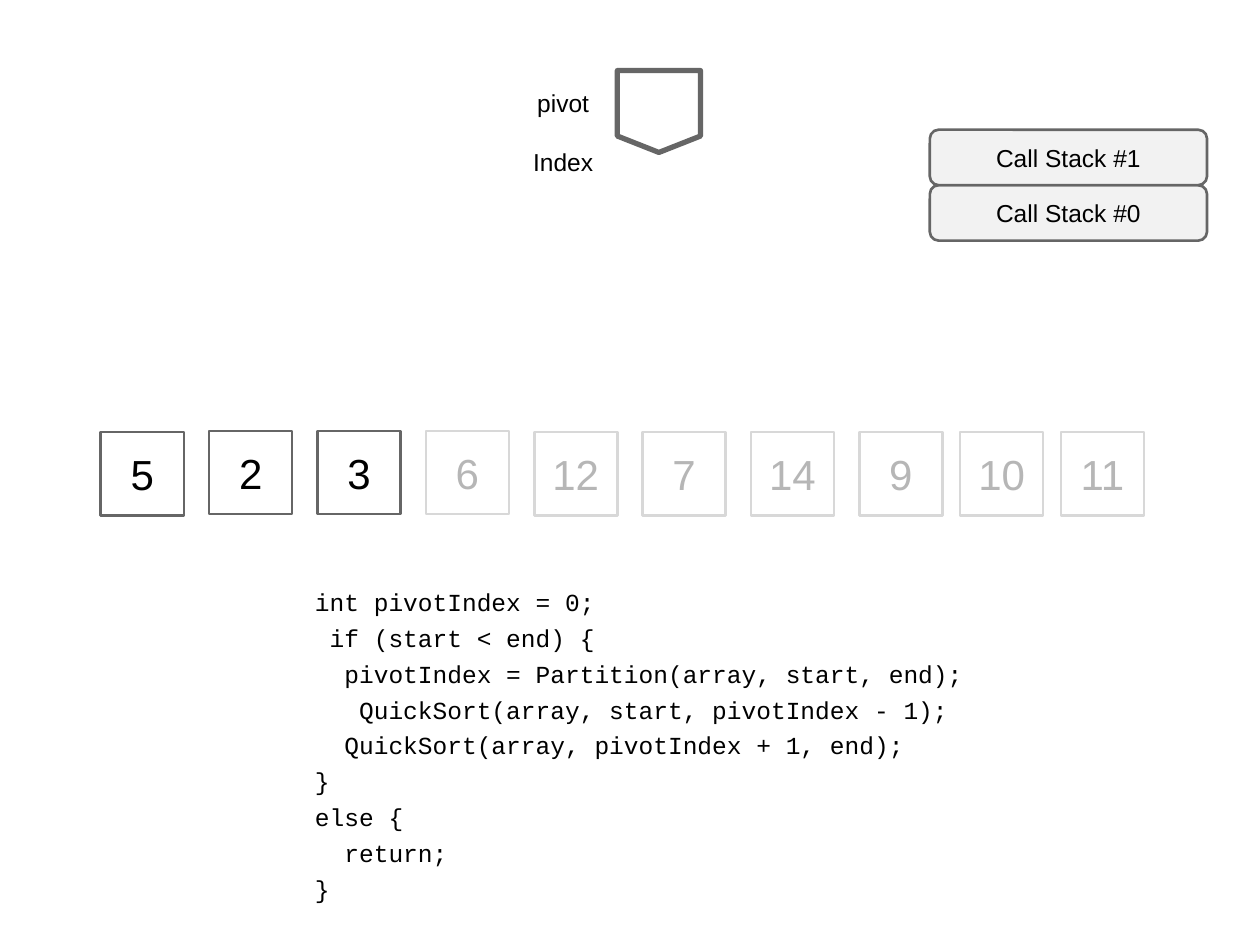
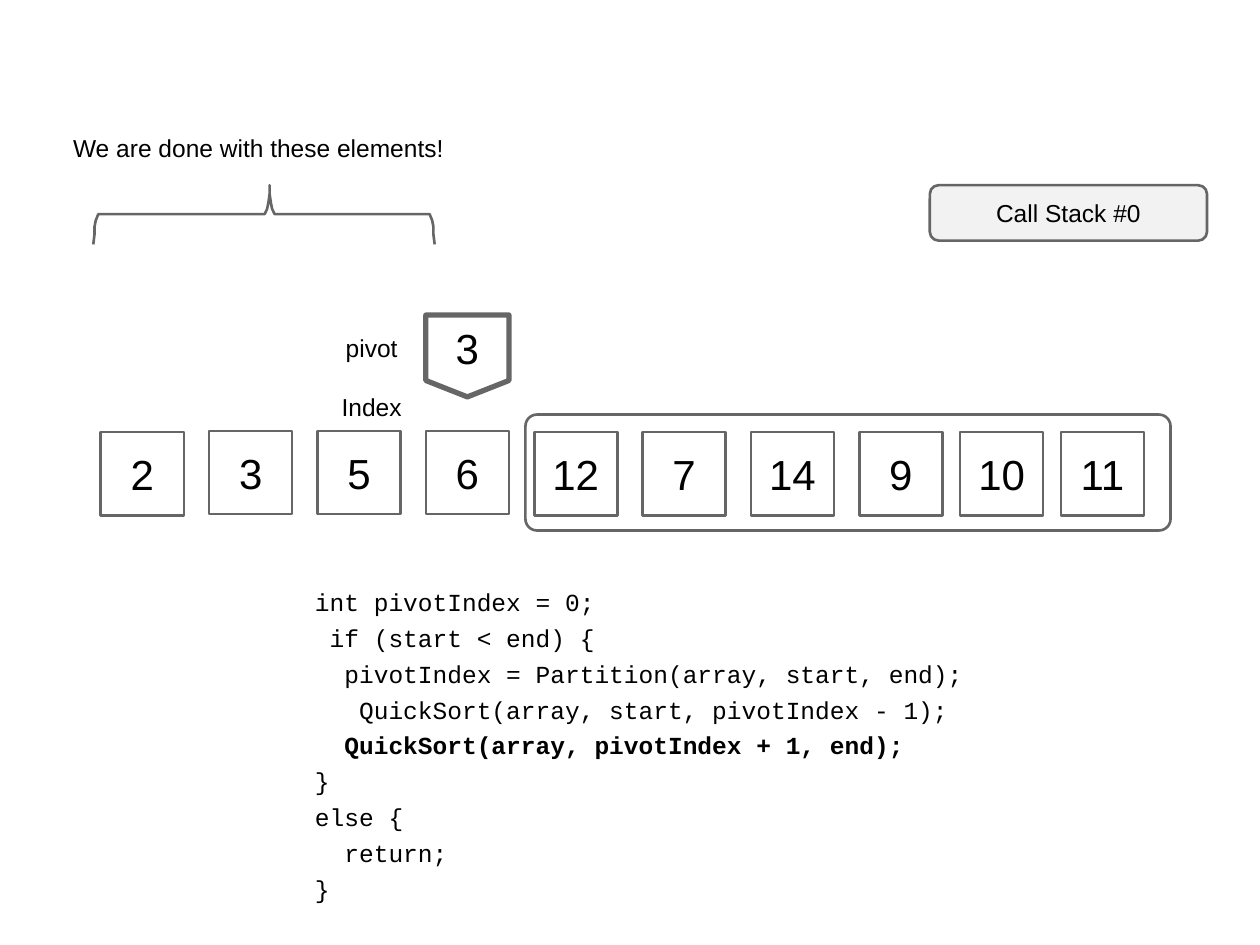
from dataclasses import dataclass

from pptx import Presentation
from pptx import util as u
from pptx.dml.color import RGBColor
from pptx.enum import shapes, text

KIND = shapes.MSO_SHAPE
LEFT, MID = text.PP_ALIGN.LEFT, text.PP_ALIGN.CENTER


@dataclass(frozen=True)
class Theme:
    ink: str = "000000"
    edge: str = "666666"
    panel: str = "F2F2F2"
    pale: str = "D8D8D8"
    dim: str = "B6B6B6"
    sans: str = "Arial"
    mono: str = "Courier New"
    body: int = 14
    digit: int = 24
    thin: float = 1.5
    thick: float = 3


CODE = """int pivotIndex = 0;
 if (start < end) {
  pivotIndex = Partition(array, start, end);
   QuickSort(array, start, pivotIndex - 1);
  QuickSort(array, pivotIndex + 1, end);
}
else {
  return;
}"""
SIDE = 0.66


def apply(item, form):
    for key, value in form.items():
        setattr(item, key, value)


class Deck:
    def __init__(self, theme):
        self.theme = theme
        self.show = Presentation()
        apply(self.show, {"slide_width": u.Inches(10), "slide_height": u.Inches(7.5)})
        self.slide = None

    def page(self):
        self.slide = self.show.slides.add_slide(self.show.slide_layouts[6])

    def letter(self, shape, words, size, color=None, face=None, align=MID,
               anchor=text.MSO_ANCHOR.MIDDLE, gap=0, bold=None):
        frame = shape.text_frame
        frame.text = words
        apply(frame, {"word_wrap": True, "vertical_anchor": anchor, "margin_left": 0,
                      "margin_top": 0, "margin_right": 0, "margin_bottom": 0})
        for row, para in enumerate(frame.paragraphs):
            para.alignment = align
            if row and gap:
                para.space_before = u.Pt(gap)
            apply(para.font, {"name": face or self.theme.sans, "size": u.Pt(size),
                              "bold": row == bold})
            para.font.color.rgb = RGBColor.from_string(color or self.theme.ink)

    def style(self, shape, fill=None, line=None, width=None):
        shape.shadow.inherit = False
        if fill:
            shape.fill.solid()
            shape.fill.fore_color.rgb = RGBColor.from_string(fill)
        else:
            shape.fill.background()
        shape.line.color.rgb = RGBColor.from_string(line or self.theme.edge)
        shape.line.width = u.Pt(width or self.theme.thin)

    def shape(self, kind, box, turn=None, **look):
        item = self.slide.shapes.add_shape(kind, *map(u.Inches, box))
        if turn is not None:
            item.adjustments[0] = turn
        self.style(item, **look)
        return item

    def label(self, words, box, **look):
        item = self.slide.shapes.add_textbox(*map(u.Inches, box))
        self.letter(item, words, self.theme.body, anchor=text.MSO_ANCHOR.TOP, **look)

    def cells(self, values, live):
        for spot, value in enumerate(values):
            left = 0.8 + 0.86 * min(spot, 7) + 0.8 * max(spot - 7, 0)
            top = 3.42 if 1 <= spot <= 3 else 3.43
            on = spot < live
            cell = self.shape(KIND.RECTANGLE, (left, top, SIDE, SIDE),
                              line=None if on else self.theme.pale)
            self.letter(cell, str(value), self.theme.digit,
                        None if on else self.theme.dim)

    def code(self, bold=None):
        self.label(CODE, (2.5, 4.66, 5.4, 2.45), face=self.theme.mono,
                   align=LEFT, gap=3.65, bold=bold)

    def pivot(self, left, top, value=""):
        mark = self.shape(KIND.FLOWCHART_OFFPAGE_CONNECTOR, (left, top, SIDE, 0.65),
                          width=self.theme.thick)
        if value:
            self.letter(mark, value, self.theme.digit)
        self.label("pivot\nIndex", (left - 0.73, top + 0.14, 0.6, 0.69), gap=17)

    def stack(self, count):
        for level in range(count):
            call = self.shape(KIND.ROUNDED_RECTANGLE,
                              (7.38, 1.47 - 0.44 * level, 2.2, 0.44), 0.16,
                              fill=self.theme.panel)
            self.letter(call, f"Call Stack #{level}", self.theme.body)

    def brace(self, left, tip, right, top):
        hook = [(0, 0.47), (0.01, 0.39), (0.01, 0.33), (0.02, 0.28), (0.04, 0.23)]
        peak = [(0.04, 0.23), (0.02, 0.19), (0.01, 0.14), (0, 0.07), (0, 0)]
        points = [(left + x, top + y) for x, y in hook]
        points += [(tip - x, top + y) for x, y in peak]
        points += [(tip + x, top + y) for x, y in reversed(peak)]
        points += [(right - x, top + y) for x, y in reversed(hook)]
        dots = [(u.Inches(x), u.Inches(y)) for x, y in points]
        form = self.slide.shapes.build_freeform(*dots[0])
        form.add_line_segments(dots[1:], close=False)
        self.style(form.convert_to_shape())


def main():
    deck = Deck(Theme())

    deck.page()
    deck.cells([5, 2, 3, 6, 12, 7, 14, 9, 10, 11], live=3)
    deck.code()
    deck.pivot(4.9, 0.56)
    deck.stack(2)

    deck.page()
    deck.cells([2, 3, 5, 6, 12, 7, 14, 9, 10, 11], live=10)
    deck.code(bold=4)
    deck.pivot(3.38, 2.5, "3")
    deck.shape(KIND.ROUNDED_RECTANGLE, (4.17, 3.29, 5.12, 0.92), 0.1)
    deck.stack(1)
    deck.brace(0.74, 2.14, 3.45, 1.47)
    deck.label("We are done with these elements!", (0.58, 1.06, 3.1, 0.26), align=LEFT)

    deck.show.save("out.pptx")


if __name__ == "__main__":
    main()
